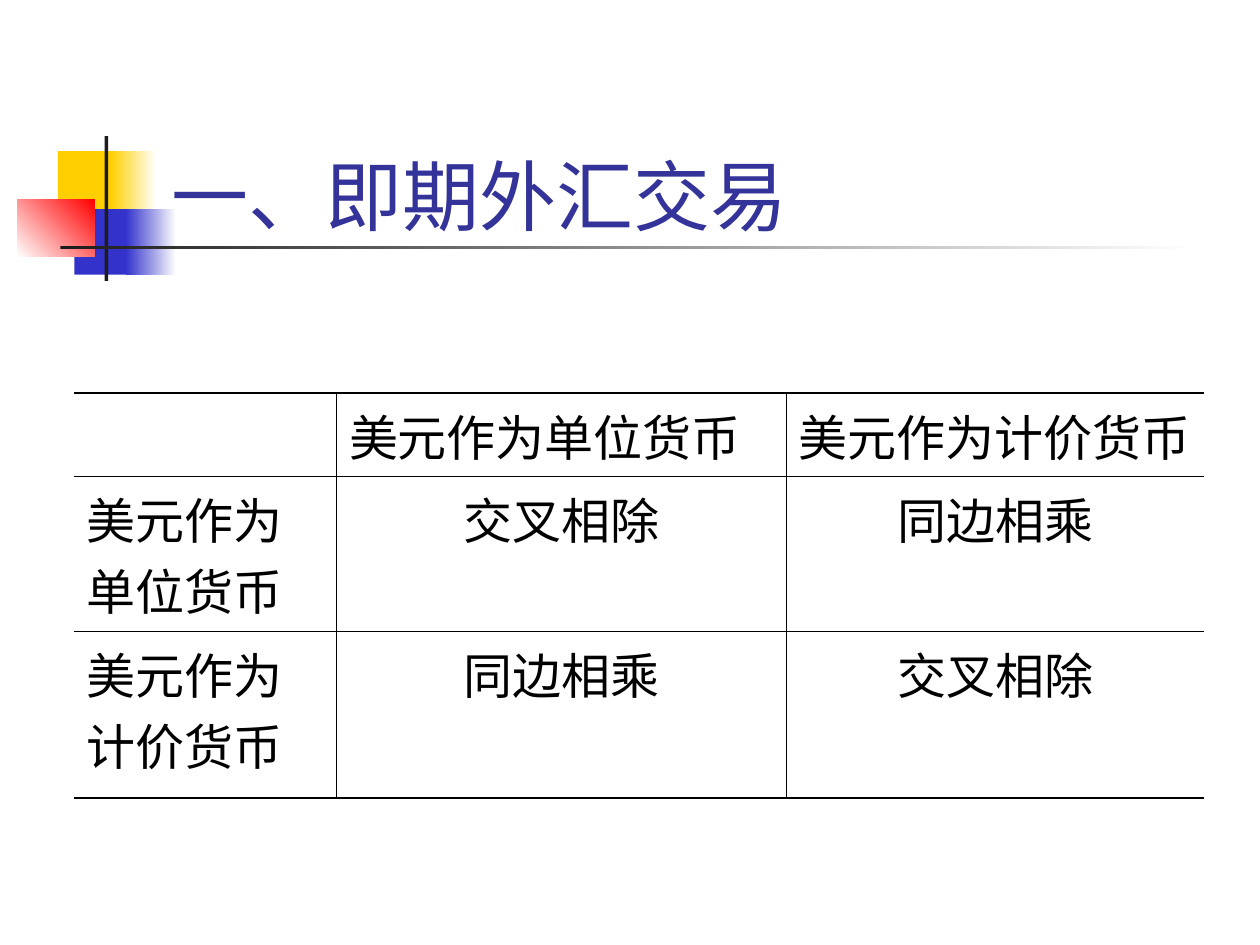
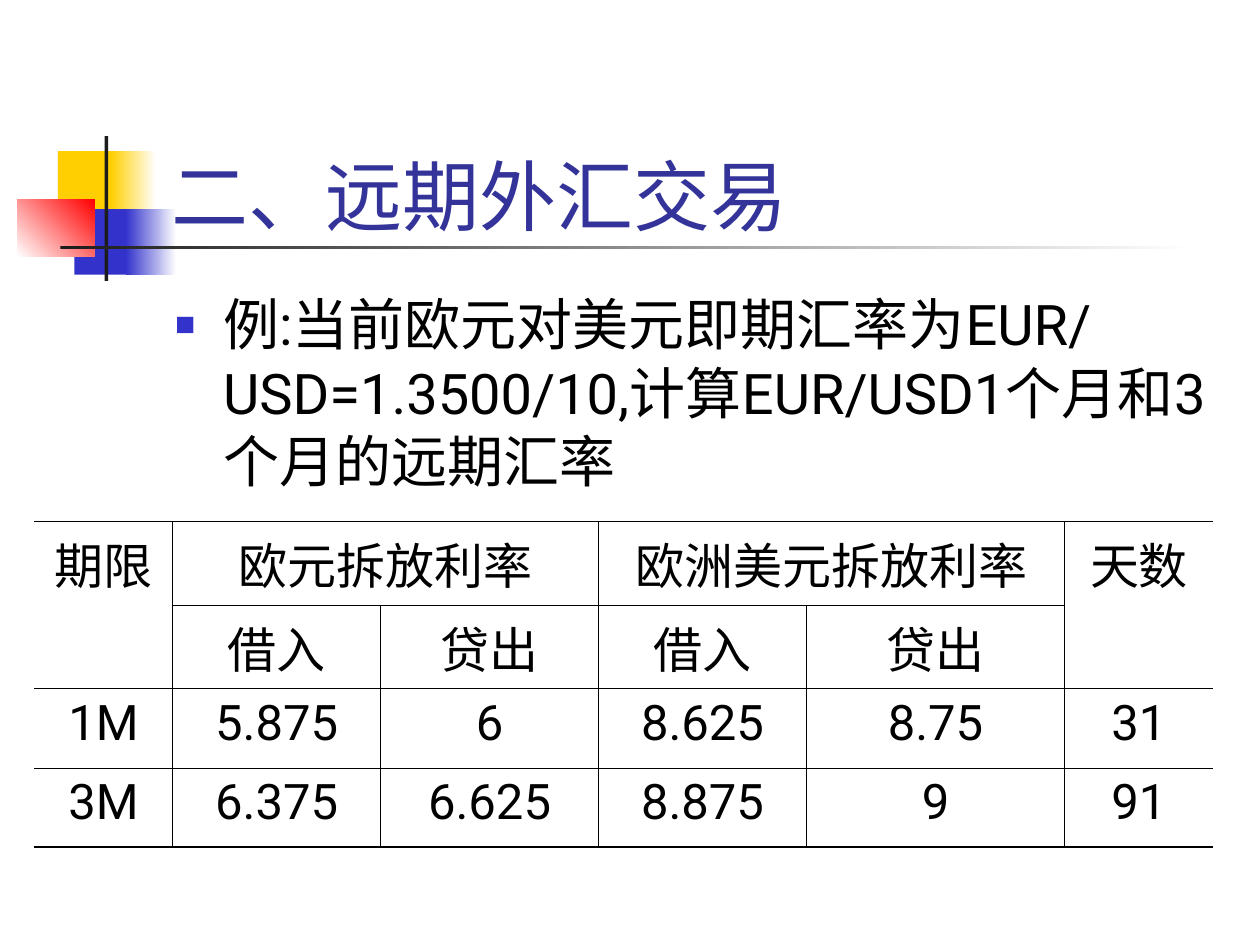
"""Build two slides on foreign exchange trading, each with a ruled table."""
from dataclasses import dataclass

from lxml import etree
from pptx import Presentation
from pptx.dml.color import RGBColor
from pptx.enum.shapes import MSO_SHAPE
from pptx.enum.text import MSO_ANCHOR, MSO_AUTO_SIZE, PP_ALIGN
from pptx.oxml.ns import qn
from pptx.presentation import Presentation as Deck
from pptx.shapes.autoshape import Shape
from pptx.slide import Slide
from pptx.table import _Cell
from pptx.util import Inches, Pt

RECTANGLE = MSO_SHAPE.RECTANGLE
BOTTOM, TOP = MSO_ANCHOR.BOTTOM, MSO_ANCHOR.TOP
NO_AUTO_SIZE = MSO_AUTO_SIZE.NONE
LEFT, CENTER = PP_ALIGN.LEFT, PP_ALIGN.CENTER

YELLOW = RGBColor(0xFF, 0xCF, 0x01)
BLUE = RGBColor(0x33, 0x33, 0xCC)
RED = RGBColor(0xFF, 0x00, 0x00)
DARK = RGBColor(0x1C, 0x1C, 0x1C)
NAVY = RGBColor(0x33, 0x33, 0x99)
BLACK = RGBColor(0x00, 0x00, 0x00)
WHITE = RGBColor(0xFF, 0xFF, 0xFF)

FONT = "Roboto"
TITLE_ONLY, TITLE_AND_CONTENT = 5, 1
OUTER_RULE, INNER_RULE, NO_RULE = Pt(1.08), Pt(0.45), 0


@dataclass(frozen=True)
class Box:
    left: float
    top: float
    width: float
    height: float


@dataclass(frozen=True)
class Block:
    box: Box
    color: RGBColor
    end_color: RGBColor | None = None
    angle: int = 0


@dataclass(frozen=True)
class Span:
    row: int
    column: int
    last_row: int
    last_column: int


@dataclass(frozen=True)
class TableSpec:
    left: float
    top: float
    columns: list[float]
    rows: list[float]
    texts: list[list[str]]
    centered_from: tuple[int, int] = (0, 0)
    spans: tuple[Span, ...] = ()


TITLE_BOX = Box(1.26, 0.67, 8.52, 1.25)
BODY_BOX = Box(1.29, 2.21, 8.5, 4.5)

BLOCKS = [
    Block(Box(0.46, 1.2, 0.48, 0.52), YELLOW),
    Block(Box(0.88, 1.2, 0.36, 0.52), YELLOW, WHITE),
    Block(Box(0.59, 1.66, 0.46, 0.52), BLUE),
    Block(Box(1, 1.66, 0.4, 0.52), BLUE, WHITE),
    Block(Box(0.14, 1.58, 0.61, 0.46), WHITE, RED, 45),
    Block(Box(0.83, 1.08, 0.03, 1.15), DARK),
    Block(Box(0.48, 1.95, 9, 0.03), DARK, WHITE),
]

CROSS_RATE_TABLE = TableSpec(
    0.59, 3.12, [2.08, 3.57, 3.32], [0.66, 1.23, 1.32],
    [
        ["", "美元作为单位货币", "美元作为计价货币"],
        ["美元作为单位货币", "交叉相除", "同边相乘"],
        ["美元作为计价货币", "同边相乘", "交叉相除"],
    ],
    centered_from=(1, 1),
)

INTEREST_TABLE = TableSpec(
    0.27, 4.14, [1.1, 1.65, 1.73, 1.65, 2.05, 1.18], [0.66, 0.66, 0.63, 0.63],
    [
        ["期限", "欧元拆放利率", "", "欧洲美元拆放利率", "", "天数"],
        ["", "借入", "贷出", "借入", "贷出", ""],
        ["1M", "5.875", "6", "8.625", "8.75", "31"],
        ["3M", "6.375", "6.625", "8.875", "9", "91"],
    ],
    spans=(Span(0, 0, 1, 0), Span(0, 1, 0, 2), Span(0, 3, 0, 4), Span(0, 5, 1, 5)),
)


def place(shape: Shape, box: Box) -> None:
    shape.left, shape.top = Inches(box.left), Inches(box.top)
    shape.width, shape.height = Inches(box.width), Inches(box.height)


def format_runs(paragraph, size: int, color: RGBColor) -> None:
    for run in paragraph.runs:
        run.font.name = FONT
        run.font.size = Pt(size)
        run.font.color.rgb = color


def set_east_asian_font(paragraph) -> None:
    for run in paragraph.runs:
        latin = run.font._element.find(qn("a:latin"))
        east_asian = etree.Element(qn("a:ea"), typeface=FONT)
        latin.addnext(east_asian)


def draw_block(slide: Slide, block: Block) -> None:
    shape = slide.shapes.add_shape(RECTANGLE, 0, 0, 0, 0)
    place(shape, block.box)
    shape.shadow.inherit = False
    shape.line.fill.background()
    if block.end_color is None:
        shape.fill.solid()
        shape.fill.fore_color.rgb = block.color
        return
    shape.fill.gradient()
    shape.fill.gradient_angle = block.angle
    for stop, color, position in zip(
        shape.fill.gradient_stops, (block.color, block.end_color), (0, 1)
    ):
        stop.color.rgb = color
        stop.position = position


def add_base_slide(presentation: Deck, layout: int, title: str) -> Slide:
    slide = presentation.slides.add_slide(presentation.slide_layouts[layout])
    for block in BLOCKS:
        draw_block(slide, block)
    shape = slide.shapes.title
    shape.element.getparent().append(shape.element)
    place(shape, TITLE_BOX)
    text_frame = shape.text_frame
    text_frame.text = title
    text_frame.word_wrap = True
    text_frame.auto_size = NO_AUTO_SIZE
    text_frame.vertical_anchor = BOTTOM
    text_frame.margin_bottom = Inches(0.01)
    paragraph = text_frame.paragraphs[0]
    paragraph.alignment = LEFT
    format_runs(paragraph, 44, NAVY)
    set_east_asian_font(paragraph)
    return slide


def set_square_bullet(paragraph) -> None:
    properties = paragraph._p.get_or_add_pPr()
    properties.set("marL", str(Inches(0.38)))
    properties.set("indent", str(-Inches(0.38)))
    color = etree.SubElement(properties, qn("a:buClr"))
    etree.SubElement(color, qn("a:srgbClr"), val=str(BLUE))
    etree.SubElement(properties, qn("a:buSzPct"), val="60000")
    etree.SubElement(properties, qn("a:buChar"), char="■")


def fill_body(slide: Slide, text: str) -> None:
    body = slide.placeholders[1]
    place(body, BODY_BOX)
    text_frame = body.text_frame
    text_frame.text = text
    text_frame.word_wrap = True
    text_frame.auto_size = NO_AUTO_SIZE
    text_frame.vertical_anchor = TOP
    text_frame.margin_top = Inches(0.08)
    paragraph = text_frame.paragraphs[0]
    set_square_bullet(paragraph)
    paragraph.space_before = Pt(0)
    paragraph.line_spacing = 1.02
    format_runs(paragraph, 32, BLACK)
    set_east_asian_font(paragraph)


def set_rules(cell: _Cell, widths: dict[str, int]) -> None:
    properties = cell._tc.get_or_add_tcPr()
    for index, (side, width) in enumerate(widths.items()):
        line = etree.Element(qn(f"a:ln{side}"), w=str(int(width)))
        if width:
            fill = etree.SubElement(line, qn("a:solidFill"))
            etree.SubElement(fill, qn("a:srgbClr"), val=str(BLACK))
        else:
            etree.SubElement(line, qn("a:noFill"))
        properties.insert(index, line)


def draw_table(slide: Slide, spec: TableSpec) -> None:
    row_count, column_count = len(spec.rows), len(spec.columns)
    table = slide.shapes.add_table(
        row_count, column_count, Inches(spec.left), Inches(spec.top),
        Inches(sum(spec.columns)), Inches(sum(spec.rows)),
    ).table
    table.first_row = table.horz_banding = False
    for column, width in zip(table.columns, spec.columns):
        column.width = Inches(width)
    for row, height in zip(table.rows, spec.rows):
        row.height = Inches(height)
    for span in spec.spans:
        table.cell(span.row, span.column).merge(
            table.cell(span.last_row, span.last_column)
        )
    first_row, first_column = spec.centered_from
    for row, texts in enumerate(spec.texts):
        for column, text in enumerate(texts):
            cell = table.cell(row, column)
            cell.fill.background()
            set_rules(cell, {
                "L": INNER_RULE if column else NO_RULE,
                "R": INNER_RULE if column < column_count - 1 else NO_RULE,
                "T": INNER_RULE if row else OUTER_RULE,
                "B": INNER_RULE if row < row_count - 1 else OUTER_RULE,
            })
            if text:
                cell.text_frame.text = text
                paragraph = cell.text_frame.paragraphs[0]
                centered = row >= first_row and column >= first_column
                paragraph.alignment = CENTER if centered else LEFT
                format_runs(paragraph, 28, BLACK)


def main() -> None:
    presentation = Presentation()
    presentation.slide_width, presentation.slide_height = Inches(10), Inches(7.5)

    spot_slide = add_base_slide(presentation, TITLE_ONLY, "一、即期外汇交易")
    draw_table(spot_slide, CROSS_RATE_TABLE)

    forward_slide = add_base_slide(presentation, TITLE_AND_CONTENT, "二、远期外汇交易")
    fill_body(
        forward_slide,
        "例:当前欧元对美元即期汇率为EUR/USD=1.3500/10,计算EUR/USD1个月和3个月的远期汇率",
    )
    draw_table(forward_slide, INTEREST_TABLE)

    presentation.save("out.pptx")


if __name__ == "__main__":
    main()
